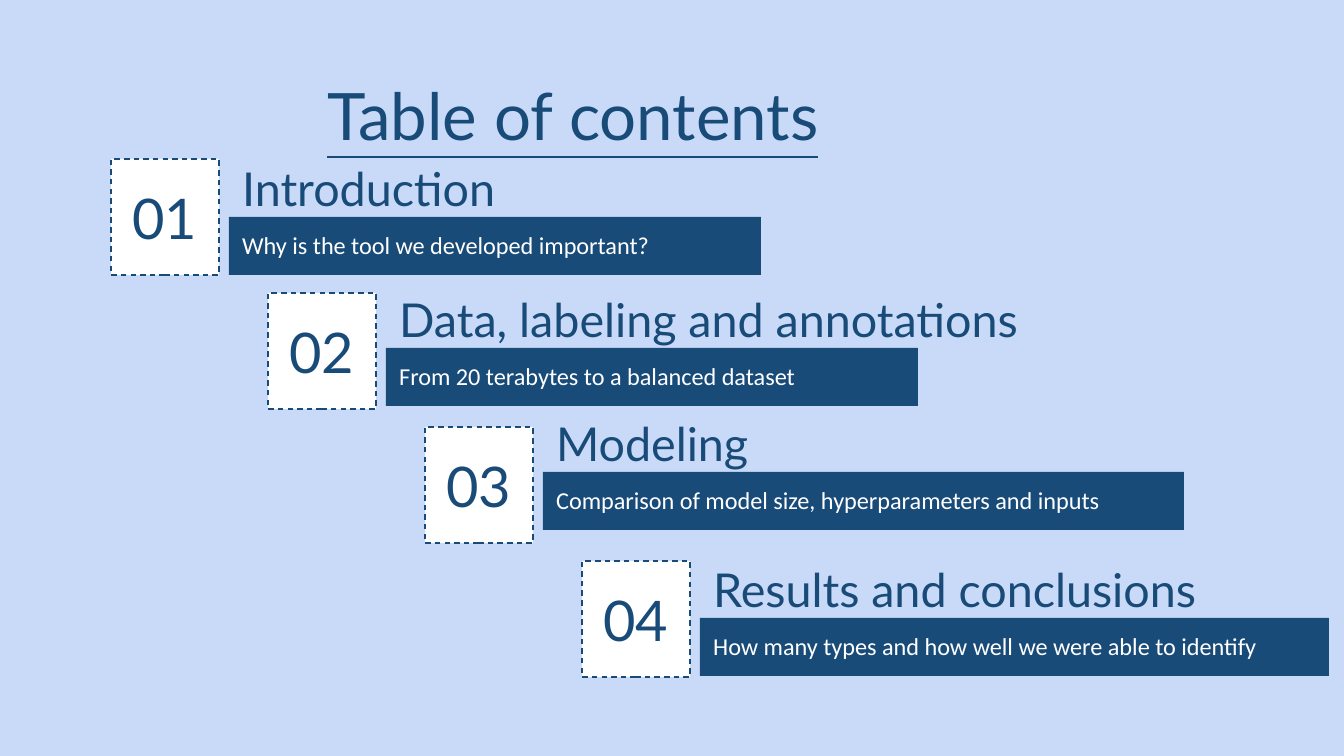
import pptx
import pptx.util
import pptx.dml.color
import pptx.enum.dml
import pptx.enum.shapes
import pptx.enum.text

PX = 914400 / 134.4
NAVY = pptx.dml.color.RGBColor(0x19, 0x4B, 0x79)
PALE_BLUE = pptx.dml.color.RGBColor(0xC9, 0xDA, 0xF8)
WHITE = pptx.dml.color.RGBColor(0xFF, 0xFF, 0xFF)
LEFT, CENTER = pptx.enum.text.PP_ALIGN.LEFT, pptx.enum.text.PP_ALIGN.CENTER
TOP = pptx.enum.text.MSO_ANCHOR.TOP
MIDDLE = pptx.enum.text.MSO_ANCHOR.MIDDLE
BOTTOM = pptx.enum.text.MSO_ANCHOR.BOTTOM


def px(length):
    return pptx.util.Emu(round(length * PX))


def add_box(page, area, text, font, size, color, align, anchor, fill=None):
    place = [px(length) for length in area]
    if fill is None:
        box = page.shapes.add_textbox(*place)
    else:
        box = page.shapes.add_shape(pptx.enum.shapes.MSO_SHAPE.RECTANGLE, *place)
        box.shadow.inherit = False
        box.fill.solid()
        box.fill.fore_color.rgb = fill
        box.line.fill.background()
    frame = box.text_frame
    frame.word_wrap = True
    frame.vertical_anchor = anchor
    frame.margin_left = frame.margin_right = pptx.util.Inches(0.1)
    frame.margin_top = frame.margin_bottom = pptx.util.Inches(0.1)
    para = frame.paragraphs[0]
    para.alignment = align
    span = para.add_run()
    span.text = text
    span.font.name = font
    span.font.size = pptx.util.Pt(size)
    span.font.color.rgb = color
    return box


deck = pptx.Presentation()
deck.slide_width, deck.slide_height = px(1344), px(756)
page = deck.slides.add_slide(deck.slide_layouts[6])
page.background.fill.solid()
page.background.fill.fore_color.rgb = PALE_BLUE

# Title
title = add_box(page, (247, 79, 652, 70), "Table of contents",
                "Lato", 35, NAVY, CENTER, MIDDLE, PALE_BLUE)
title.text_frame.paragraphs[0].runs[0].font.underline = True

# Sections step down to the right: heading, summary, bar top, bar width
sections = [
    ("Introduction", "Why is the tool we developed important?", 217, 532),
    ("Data, labeling and annotations", "From 20 terabytes to a balanced dataset", 348, 532),
    ("Modeling", "Comparison of model size, hyperparameters and inputs", 472, 641),
    ("Results and conclusions", "How many types and how well we were able to identify", 618, 629),
]
for index, (heading, summary, bar_top, bar_width) in enumerate(sections):
    number_left = 111 + 157 * index
    bar_left = number_left + 118

    # Summary bar
    add_box(page, (bar_left, bar_top, bar_width, 58), summary,
            "Calibri", 13, WHITE, LEFT, TOP, NAVY)

    # Dashed number box
    number = add_box(page, (number_left, 159 + 134 * index, 108, 116), f"{index + 1:02}",
                     "Lato", 30, NAVY, CENTER, MIDDLE, WHITE)
    number.line.color.rgb = NAVY
    number.line.width = pptx.util.Pt(0.75)
    number.line.dash_style = pptx.enum.dml.MSO_LINE.DASH

    # Heading above the bar
    add_box(page, (bar_left, bar_top - 46, 650, 58), heading,
            "Lato", 25, NAVY, LEFT, BOTTOM)

deck.save("out.pptx")
